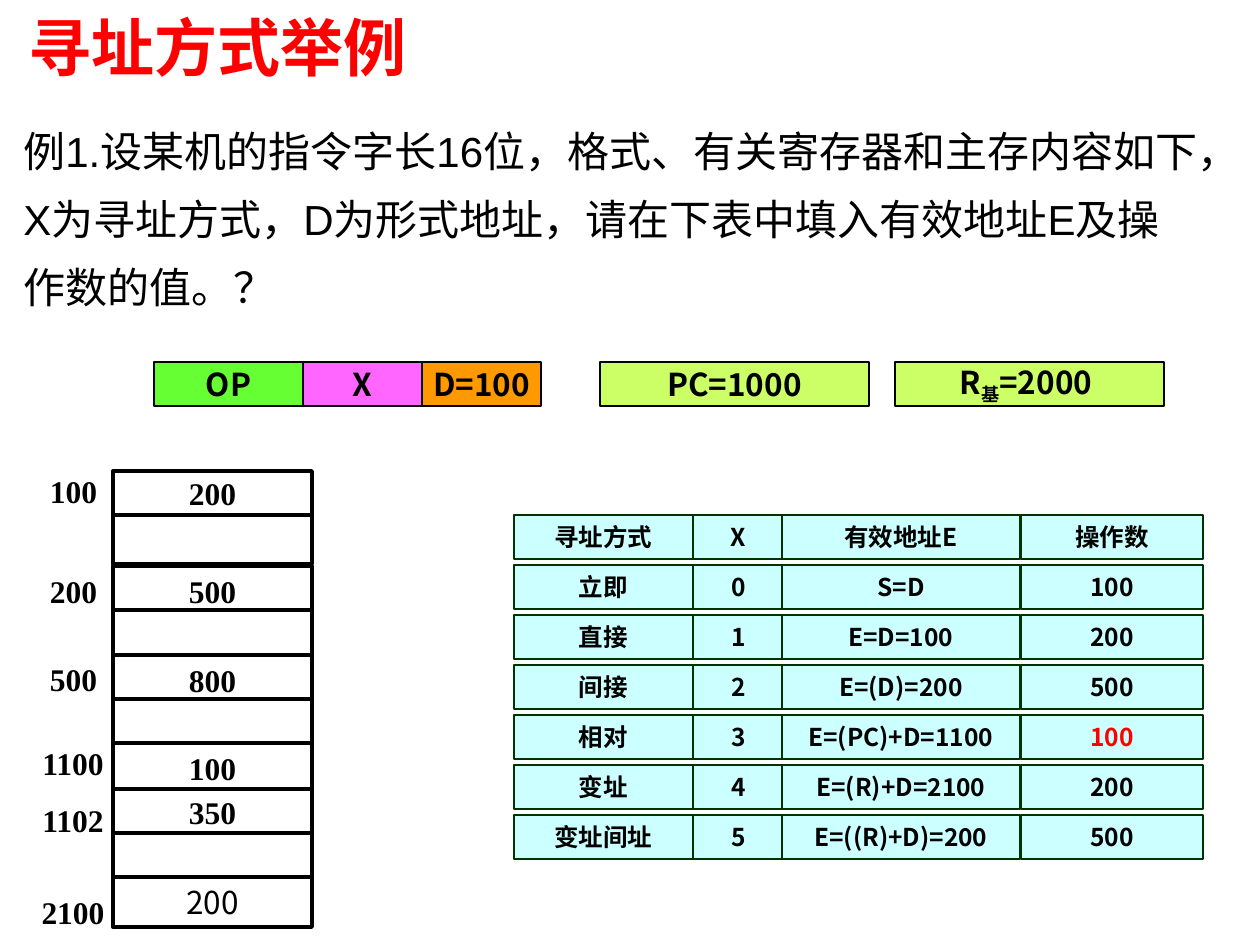
import pptx
import pptx.dml.color
import pptx.enum.shapes
import pptx.enum.text
import pptx.oxml.ns
import pptx.util
from lxml import etree

RGB = pptx.dml.color.RGBColor
BLACK = RGB(0x00, 0x00, 0x00)
WHITE = RGB(0xFF, 0xFF, 0xFF)
RED = RGB(0xFF, 0x00, 0x00)
GREEN = RGB(0x66, 0xFF, 0x33)
PINK = RGB(0xFF, 0x66, 0xFF)
ORANGE = RGB(0xFF, 0x99, 0x00)
LIME = RGB(0xCC, 0xFF, 0x66)
CYAN = RGB(0xCC, 0xFF, 0xFF)
DARK_GREEN = RGB(0x00, 0x33, 0x00)

SANS, SERIF, LATIN = "Noto Sans CJK SC", "Times New Roman", "Arial"
CENTER = pptx.enum.text.PP_ALIGN.CENTER
LEFT = pptx.enum.text.PP_ALIGN.LEFT
TOP = pptx.enum.text.MSO_ANCHOR.TOP
MIDDLE = pptx.enum.text.MSO_ANCHOR.MIDDLE

# Instruction and register fields: left, width, fill, text runs (text, baseline)
FIELDS = [
    (154, 149, GREEN, [("OP", 0)]),
    (303, 119, PINK, [("X", 0)]),
    (422, 119, ORANGE, [("D=100", 0)]),
    (600, 269, LIME, [("PC=1000", 0)]),
    (895, 269, LIME, [("R", 0), ("基", -25), ("=2000 ", 0)]),
]

# Memory cells: top, height, content
MEMORY = [
    (471, 44, "200"), (515, 49, ""), (566, 49, "500"), (610, 45, ""),
    (655, 49, "800"), (699, 55, ""), (743, 49, "100"), (789, 45, "350"),
    (833, 45, ""), (877, 50, "200"),
]

# Memory addresses: top, text
ADDRESSES = [(466, "100"), (566, "200"), (654, "500"),
             (738, "1100"), (795, "1102"), (887, "2100")]

# Addressing modes: columns as (left, width), then rows
COLUMNS = [(514, 179), (693, 91), (782, 238), (1021, 182)]
MODES = [
    ("寻址方式", "X", "有效地址E", "操作数"),
    ("立即", "0", "S=D", "100"),
    ("直接", "1", "E=D=100", "200"),
    ("间接", "2", "E=(D)=200", "500"),
    ("相对", "3", "E=(PC)+D=1100", "100"),
    ("变址", "4", "E=(R)+D=2100", "200"),
    ("变址间址", "5", "E=((R)+D)=200", "500"),
]
ROW_TOP, ROW_PITCH, ROW_HEIGHT = 515, 50, 44
RELATIVE_ROW, OPERAND_COLUMN = 4, 3


def px(n):
    return pptx.util.Emu(round(n * 914400 / 126))


def set_text(sp, runs, size=18, font=SANS, color=BLACK, bold=True,
             align=CENTER, anchor=MIDDLE, wrap=True, spacing=None):
    """Fill one paragraph with a string or with (text, baseline) runs."""
    tf = sp.text_frame
    tf.word_wrap = wrap
    tf.vertical_anchor = anchor
    p = tf.paragraphs[0]
    p.alignment = align
    if spacing:
        p.line_spacing = spacing
    for text, baseline in [(runs, 0)] if isinstance(runs, str) else runs:
        r = p.add_run()
        r.text = text
        r.font.size = pptx.util.Pt(size)
        r.font.name = font
        r.font.bold = bold
        r.font.color.rgb = color
        rpr = r.font._element
        ea = etree.SubElement(rpr, pptx.oxml.ns.qn("a:ea"))
        ea.set("typeface", SANS)
        if baseline:
            rpr.set("baseline", str(baseline * 1000))


def add_text(slide, x, y, w, h, text, **style):
    sp = slide.shapes.add_textbox(px(x), px(y), px(w), px(h))
    set_text(sp, text, **style)


def add_box(slide, x, y, w, h, text, fill, line=BLACK, weight=1.5, **style):
    sp = slide.shapes.add_shape(pptx.enum.shapes.MSO_SHAPE.RECTANGLE,
                                px(x), px(y), px(w), px(h))
    sp.shadow.inherit = False
    sp.fill.solid()
    sp.fill.fore_color.rgb = fill
    sp.line.color.rgb = line
    sp.line.width = pptx.util.Pt(weight)
    if text:
        set_text(sp, text, **style)


def add_memory(slide):
    last = len(MEMORY) - 1
    for i, (y, h, text) in enumerate(MEMORY):
        add_box(slide, 113, y, 199, h, text, WHITE, weight=2.25, wrap=False,
                font=SANS if i == last else SERIF, bold=i != last)
    for y, text in ADDRESSES:
        x, w = (34, 79) if len(text) == 3 else (14, 118)
        add_text(slide, x, y, w, 50, text, font=SERIF, anchor=TOP)


def add_modes(slide):
    for i, row in enumerate(MODES):
        for j, ((x, w), text) in enumerate(zip(COLUMNS, row)):
            marked = (i, j) == (RELATIVE_ROW, OPERAND_COLUMN)
            add_box(slide, x, ROW_TOP + i * ROW_PITCH, w, ROW_HEIGHT, text,
                    CYAN, line=DARK_GREEN, weight=1, size=14,
                    color=RED if marked else BLACK)


def main():
    prs = pptx.Presentation()
    prs.slide_width, prs.slide_height = px(1260), px(945)
    slide = prs.slides.add_slide(prs.slide_layouts[6])

    # Title and question
    add_text(slide, 16, 8, 539, 86, "寻址方式举例", size=36, color=RED,
             align=LEFT, spacing=0.9)
    add_text(slide, 11, 101, 1203, 210,
             "例1.设某机的指令字长16位，格式、有关寄存器和主存内容如下，"
             "X为寻址方式，D为形式地址，请在下表中填入有效地址E及操作数的值。？",
             size=24, font=LATIN, bold=False, align=LEFT, anchor=TOP,
             spacing=pptx.util.Pt(39))

    # Instruction format and registers
    for x, w, fill, runs in FIELDS:
        add_box(slide, x, 362, w, 44, runs, fill, wrap=False)

    # Main memory and table of addressing modes
    add_memory(slide)
    add_modes(slide)

    prs.save("out.pptx")


if __name__ == "__main__":
    main()
